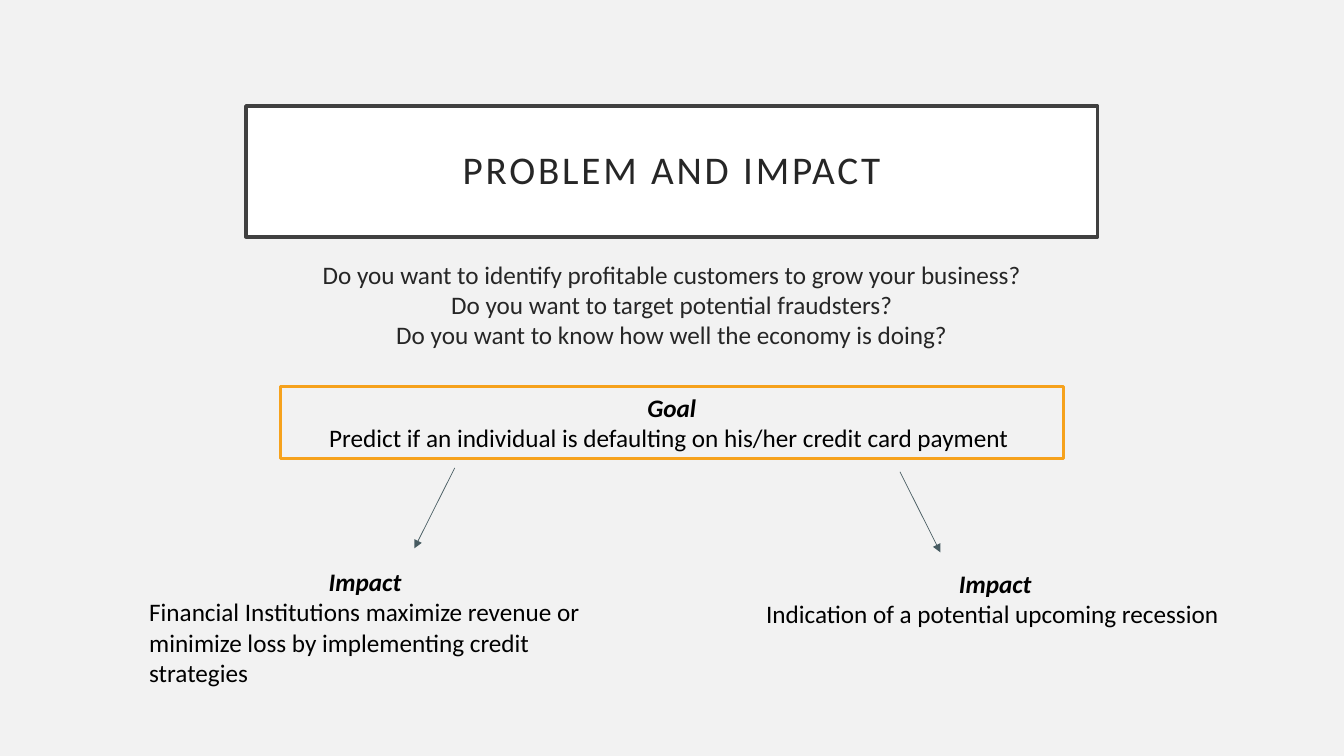
from lxml import etree
from pptx import Presentation
from pptx.dml.color import RGBColor
from pptx.enum import shapes as kinds, text as txt
from pptx.oxml.ns import qn
from pptx.util import Cm, Pt

FONT = "Calibri"
PAPER = RGBColor(0xF2, 0xF2, 0xF2)
WHITE = RGBColor(0xFF, 0xFF, 0xFF)
BLACK = RGBColor(0, 0, 0)
INK = RGBColor(0x26, 0x26, 0x26)
FRAME = RGBColor(0x40, 0x40, 0x40)
ORANGE = RGBColor(0xF6, 0xA2, 0x1D)
SLATE = RGBColor(0x47, 0x5B, 0x61)
CENTER = txt.PP_ALIGN.CENTER


def write_lines(frame, lines, color, size=18, headed=False):
    """Fill a text frame with centred lines; a heading is bold italic."""
    frame.text = "\n".join(lines)
    for index, line in enumerate(frame.paragraphs):
        line.alignment = CENTER
        font = line.runs[0].font
        font.name, font.size, font.color.rgb = FONT, Pt(size), color
        font.bold = font.italic = headed and index == 0


def add_frame(slide, box, line_color, line_width):
    """Add an outlined, unfilled rectangle."""
    frame = slide.shapes.add_shape(kinds.MSO_SHAPE.RECTANGLE, *map(Cm, box))
    frame.shadow.inherit = False
    frame.fill.background()
    frame.line.color.rgb, frame.line.width = line_color, Pt(line_width)
    frame.text_frame.word_wrap = True
    return frame


def add_title(slide, box, title):
    """Place the white title banner."""
    banner = add_frame(slide, box, FRAME, 2.5)
    banner.fill.solid()
    banner.fill.fore_color.rgb = WHITE
    frame = banner.text_frame
    frame.vertical_anchor = txt.MSO_ANCHOR.MIDDLE
    write_lines(frame, [title], INK, size=28)
    heading = frame.paragraphs[0]
    heading.line_spacing = 0.9
    heading.runs[0].font._element.set("spc", "200")


def add_text(slide, box, lines, color, headed=False, wrap=True):
    """Place a text box and return its frame."""
    frame = slide.shapes.add_textbox(*map(Cm, box)).text_frame
    frame.word_wrap = wrap
    write_lines(frame, lines, color, headed=headed)
    return frame


def add_goal(slide, box, lines):
    """Place the goal in its orange frame."""
    frame = add_frame(slide, box, ORANGE, 2.25).text_frame
    frame.vertical_anchor = txt.MSO_ANCHOR.TOP
    write_lines(frame, lines, BLACK, headed=True)


def add_arrow(slide, left, top, run, drop=2.03):
    """Draw a thin arrow down from the goal towards an impact."""
    arrow = slide.shapes.add_connector(
        kinds.MSO_CONNECTOR.STRAIGHT,
        Cm(left), Cm(top), Cm(left + run), Cm(top + drop))
    arrow.line.color.rgb, arrow.line.width = SLATE, Pt(0.5)
    etree.SubElement(arrow.line._get_or_add_ln(), qn("a:tailEnd"), type="triangle")
    etree.SubElement(arrow._element.spPr, qn("a:effectLst"))


def build_slide(slide):
    """Lay out the title, the questions, the goal and its two impacts."""
    slide.background.fill.solid()
    slide.background.fill.fore_color.rgb = PAPER
    add_title(slide, (6.2, 2.67, 21.46, 3.3), "PROBLEM AND IMPACT")
    add_text(slide, (6.2, 6.4, 21.46, 2.97), [
        "Do you want to identify profitable customers to grow your business?",
        "Do you want to target potential fraudsters?",
        "Do you want to know how well the economy is doing?"], INK)
    add_arrow(slide, 22.68, 11.89, 1.02)
    add_arrow(slide, 11.46, 11.79, -1.02)
    revenue = add_text(slide, (2.24, 14.15, 13.92, 2.57), [
        "Impact",
        "Financial Institutions maximize revenue or minimize loss by "
        "implementing credit strategies"], BLACK, headed=True)
    detail = revenue.paragraphs[1]
    detail.alignment, detail.level = txt.PP_ALIGN.LEFT, 1
    detail._p.get_or_add_pPr().set("marL", str(Cm(1.27)))
    add_text(slide, (19.02, 14.2, 12.12, 2.57), [
        "Impact", "Indication of a potential upcoming recession "],
        BLACK, headed=True, wrap=False)
    add_goal(slide, (7.06, 9.75, 19.74, 1.8), [
        "Goal",
        "Predict if an individual is defaulting on his/her credit card payment "])


def main():
    """Build and save the presentation."""
    deck = Presentation()
    deck.slide_width, deck.slide_height = Cm(33.87), Cm(19.05)
    build_slide(deck.slides.add_slide(deck.slide_layouts[6]))
    deck.save("out.pptx")


if __name__ == "__main__":
    main()
